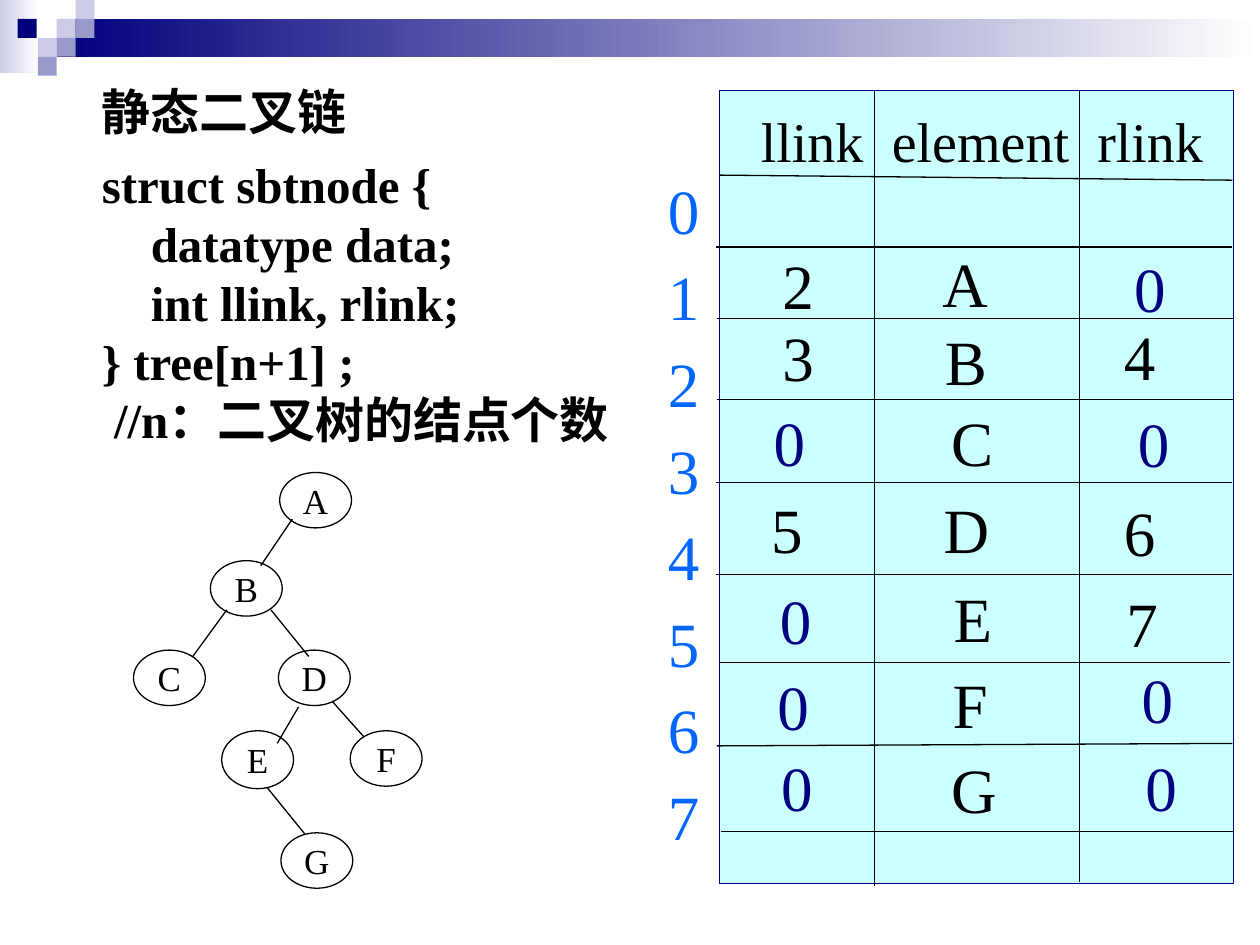
import pptx
import pptx.util
import pptx.dml.color
import pptx.enum.shapes
import pptx.enum.text
import pptx.oxml.ns
import lxml.etree

Pt = pptx.util.Pt
MSO = pptx.enum.shapes.MSO_SHAPE
ALIGN = pptx.enum.text.PP_ALIGN
ANCHOR = pptx.enum.text.MSO_ANCHOR
qn = pptx.oxml.ns.qn
rgb = pptx.dml.color.RGBColor.from_string

prs = pptx.Presentation()
prs.slide_width = pptx.util.Inches(10)
prs.slide_height = pptx.util.Inches(7.5)
s = prs.slides.add_slide(prs.slide_layouts[6])
unit = prs.slide_width // 1000


def draw(kind, *box, fill=None, line=None):
    box = [v * unit for v in box]
    if kind == "line":
        sp = s.shapes.add_connector(pptx.enum.shapes.MSO_CONNECTOR.STRAIGHT, *box)
        lxml.etree.SubElement(sp._element.spPr, qn("a:effectLst"))
    else:
        sp = s.shapes.add_shape(kind, *box)
        sp.shadow.inherit = False
        if isinstance(fill, tuple):
            sp.fill.gradient()
            sp.fill.gradient_angle = 0
            for stop, color in zip(sp.fill.gradient_stops, fill):
                stop.color.rgb = rgb(color)
        elif fill:
            sp.fill.solid()
            sp.fill.fore_color.rgb = rgb(fill)
        else:
            sp.fill.background()
    if line:
        sp.line.color.rgb = rgb(line)
        sp.line.width = Pt(0.75)
    else:
        sp.line.fill.background()
    return sp


def write(sp, lines, size, color="000000", align=ALIGN.CENTER, bold=False, wrap=False):
    tf = sp.text_frame
    tf.word_wrap = wrap
    tf.text = "\n".join(lines)
    for p in tf.paragraphs:
        p.alignment = align
        p.font.size = Pt(size)
        p.font.name = "Times New Roman"
        p.font.bold = bold
        p.font.color.rgb = rgb(color)
    return tf


draw(MSO.RECTANGLE, 0, 0, 31, 58, fill=("CCCCE6", "FFFFFF"))
draw(MSO.RECTANGLE, 45, 15, 955, 30, fill=("00007D", "FFFFFF"))
for left, top, color in [
    (45, 15, "CCCCE6"), (60, 0, "CCCCE6"), (60, 15, "9999CC"), (30, 30, "CCCCE6"),
    (14, 15, "00007D"), (45, 30, "9999CC"), (30, 45, "9999CC"),
]:
    draw(MSO.RECTANGLE, left, top, 15, 15, fill=color)

for name, left, top, height in [
    ("A", 222, 375, 44), ("B", 167, 445, 44), ("C", 106, 516, 44), ("D", 221, 516, 44),
    ("E", 176, 580, 46), ("F", 278, 580, 44), ("G", 223, 661, 44),
]:
    node = draw(MSO.OVAL, left, top, 57, height, line="000000")
    write(node, [name], 20).vertical_anchor = ANCHOR.MIDDLE

for branch in [
    (232, 412, 207, 449), (180, 484, 153, 521), (215, 484, 245, 521),
    (237, 561, 220, 590), (264, 557, 289, 585), (212, 625, 242, 662),
]:
    draw("line", *branch, line="000000")

draw(MSO.RECTANGLE, 571, 72, 408, 629, fill="CCFFFF", line="00007D")
for rule in [
    (571, 139, 978, 143), (694, 72, 694, 703), (857, 72, 857, 700),
    (568, 196, 978, 196), (569, 253, 979, 253), (569, 317, 979, 317),
    (568, 383, 978, 383), (568, 456, 978, 456), (571, 526, 976, 526),
    (569, 592, 978, 590), (572, 660, 979, 660),
]:
    draw("line", *rule, line="000000")

header = s.shapes.add_textbox(594 * unit, 80 * unit, 382 * unit, 64 * unit)
tf = write(header, ["llink\telement\trlink"], 32, align=ALIGN.LEFT)
pPr = tf.paragraphs[0]._p.get_or_add_pPr()
tabs = lxml.etree.Element(qn("a:tabLst"))
for stop in (104, 267):
    lxml.etree.SubElement(tabs, qn("a:tab"), pos=str(stop * unit), algn="l")
pPr.insert(0, tabs)

records = [
    [("2", 611, 191), ("A", 738, 189), ("0", 890, 193)],
    [("3", 611, 248), ("B", 740, 251), ("4", 882, 247)],
    [("0", 604, 315), ("C", 745, 315), ("0", 893, 316)],
    [("5", 602, 384), ("D", 739, 384), ("6", 882, 387)],
    [("0", 609, 457), ("E", 747, 455), ("7", 884, 459)],
    [("0", 607, 525), ("F", 746, 523), ("0", 896, 519)],
    [("0", 610, 589), ("G", 745, 591), ("0", 899, 589)],
]
widths = {"A": 56, "B": 53, "C": 53, "D": 56, "E": 50, "F": 48, "G": 56}
for record in records:
    for value, left, top in record:
        width = widths.get(value, 45)
        cell = s.shapes.add_textbox(left * unit, top * unit, width * unit, 70 * unit)
        write(cell, [value], 36, "000080" if value == "0" else "000000")

index = s.shapes.add_textbox(420 * unit, 131 * unit, 145 * unit, 530 * unit)
tf = write(index, [str(n) for n in range(8)], 36, "0066FF")
for n, p in enumerate(tf.paragraphs):
    p._p.get_or_add_pPr().set("marL", str(100 * unit))
    if n:
        p.space_before = Pt(6.3)

code = s.shapes.add_textbox(71 * unit, 60 * unit, 929 * unit, 302 * unit)
tf = write(code, [
    "静态二叉链",
    "struct sbtnode {",
    "    datatype data;",
    "    int llink, rlink;",
    "} tree[n+1] ;",
    " //n：二叉树的结点个数",
], 28, align=ALIGN.LEFT, bold=True, wrap=True)
tf.paragraphs[0].font.name = "Arial"
tf.paragraphs[1].space_before = Pt(8)

prs.save("out.pptx")
